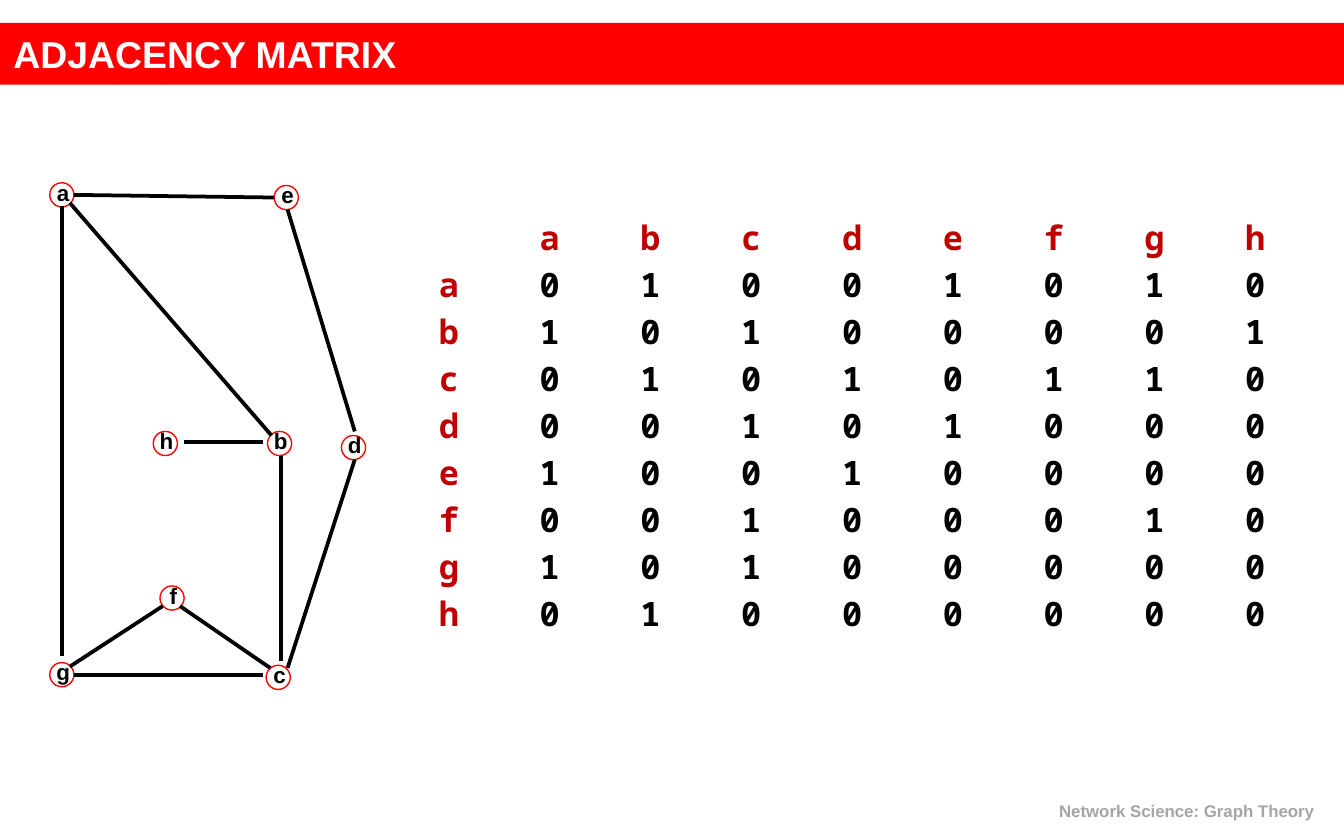
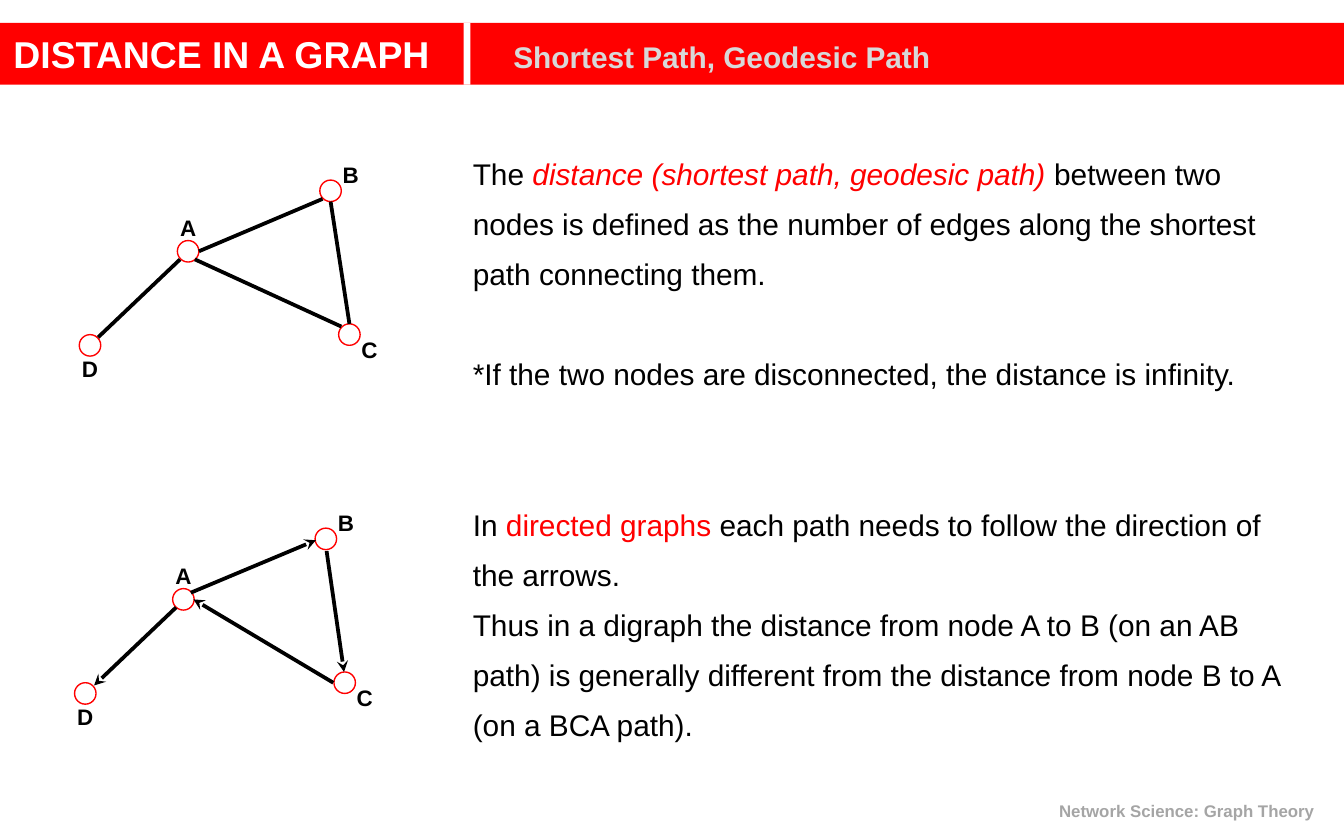
from lxml import etree
from pptx import Presentation
from pptx import util as u
from pptx.dml.color import RGBColor
from pptx.enum import shapes, text
from pptx.oxml import ns

COLORS = {"red": "FF0000", "dark_red": "C00000", "black": "000000",
          "white": "FFFFFF", "gray": "A5A5A5", "pale": "D8D8D8"}
FONT, MONO = "Arial", "Noto Sans Mono"
WIDTH, HEIGHT = u.Inches(10), u.Inches(6.25)
CELL = WIDTH / 100
ALIGN = text.PP_ALIGN

LETTERS = "abcdefgh"
ADJACENCY = ["01001010", "10100001", "01010110", "00101000",
             "10010000", "00100010", "10100000", "01000000"]

LETTER_NODES = {"a": (3.7, 13.6), "b": (19.9, 32.1), "c": (19.8, 49.5),
                "d": (25.4, 32.4), "e": (20.4, 13.8), "f": (11.9, 43.6),
                "g": (3.7, 49.3), "h": (11.4, 32.1)}
LETTER_EDGES = [(5.2, 15.1, 20.2, 32.4), (4.6, 15.3, 4.6, 48.8),
                (5.5, 14.5, 20.4, 14.7), (5.2, 49.6, 12.1, 45.1),
                (13.4, 45.1, 20.1, 49.7), (5.5, 50.2, 19.6, 50.2),
                (20.9, 33.9, 20.9, 49.2), (13.7, 32.9, 19.6, 32.9),
                (21.4, 15.6, 26.4, 32.1), (21.4, 49.7, 26.4, 34.2)]

PATH_NODES = {"A": (13.2, 17.9, -0.5, -2), "B": (23.8, 13.4, 1, -1.4),
              "C": (25.2, 24.1, 1, 0.9), "D": (5.9, 24.9, -0.5, 1.5)}
UNDIRECTED_EDGES = [(7.3, 25.1, 13.4, 19.3), (14.8, 18.7, 24, 14.8),
                    (26, 24.1, 24.6, 15), (14.5, 19.3, 25.4, 24.3)]
DIRECTED_EDGES = [(13.1, 45.2, 7, 51), (14.2, 44.1, 23.5, 40.2),
                  (24.3, 41, 25.6, 50), (24.8, 50.8, 14.4, 44.6)]
DIRECTED_SHIFT = (-0.35, 25.9)

EXPLANATION = [
    (0, [("The ", "black", False),
         ("distance (shortest path, geodesic path) ", "red", True),
         ("between two nodes is defined as the number of edges along the "
          "shortest path connecting them.", "black", False)]),
    (1, [("*If the two nodes are disconnected, the distance is infinity.",
          "black", False)]),
    (2, [("In ", "black", False), ("directed graphs ", "red", False),
         ("each path needs to follow the direction of the arrows.",
          "black", False)]),
    (0, [("Thus in a digraph the distance from node A to B (on an AB path) is "
          "generally different from the distance from node B to A "
          "(on a BCA path).", "black", False)]),
]
BLANK_LINE = 26.9


def grid(*cells):
    return [u.Emu(round(c * CELL)) for c in cells]


def rgb(name):
    return RGBColor.from_string(COLORS[name])


def add_run(p, words, size, color, bold=False, italic=False, font=FONT):
    r = p.add_run()
    r.text = words
    r.font.name, r.font.size = font, u.Pt(size)
    r.font.bold, r.font.italic = bold, italic
    r.font.color.rgb = rgb(color)


def add_text_box(s, x, y, w, h, align=ALIGN.LEFT):
    tf = s.shapes.add_textbox(*grid(x, y, w, h)).text_frame
    tf.word_wrap = True
    tf.paragraphs[0].alignment = align
    return tf


def add_shape(s, kind, x, y, w, h, fill=None, line=None):
    sp = s.shapes.add_shape(kind, *grid(x, y, w, h))
    sp.shadow.inherit = False
    if fill:
        sp.fill.solid()
        sp.fill.fore_color.rgb = rgb(fill)
    else:
        sp.fill.background()
    if line:
        sp.line.color.rgb = rgb(line)
        sp.line.width = u.Pt(0.75)
    else:
        sp.line.fill.background()


def add_node(s, x, y, size, label, dx, dy):
    add_shape(s, shapes.MSO_SHAPE.OVAL, x, y, size, size, line="red")
    tf = add_text_box(s, x + dx, y + dy, 2.6, 2, ALIGN.CENTER)
    tf.margin_left = tf.margin_right = tf.margin_top = tf.margin_bottom = 0
    add_run(tf.paragraphs[0], label, 12, "black", bold=True)


def add_edge(s, ends, arrow=False):
    edge = s.shapes.add_connector(shapes.MSO_CONNECTOR.STRAIGHT, *grid(*ends))
    edge.line.color.rgb = rgb("black")
    edge.line.width = u.Pt(2)
    if arrow:
        tail = etree.SubElement(edge.line._get_or_add_ln(), ns.qn("a:tailEnd"))
        tail.set("type", "stealth")
    etree.SubElement(edge._element.spPr, ns.qn("a:effectLst"))


def add_path_graph(s, edges, shift=(0, 0), arrow=False):
    for label, (x, y, dx, dy) in PATH_NODES.items():
        add_node(s, x + shift[0], y + shift[1], 1.6, label, dx, dy)
    for ends in edges:
        add_edge(s, ends, arrow)


def add_matrix(s):
    n = len(LETTERS) + 1
    pitch_x, pitch_y = 7.5, 3.5
    table = s.shapes.add_table(
        n, n, *grid(29.65, 15.9, n * pitch_x, n * pitch_y)).table
    table.first_row = table.horz_banding = False
    rows = [" " + LETTERS] + [a + b for a, b in zip(LETTERS, ADJACENCY)]
    for i, row in enumerate(rows):
        table.rows[i].height = grid(pitch_y)[0]
        for j, value in enumerate(row):
            cell = table.cell(i, j)
            cell.fill.background()
            cell.margin_left = cell.margin_right = 0
            cell.margin_top = cell.margin_bottom = 0
            cell.vertical_anchor = text.MSO_ANCHOR.MIDDLE
            p = cell.text_frame.paragraphs[0]
            p.alignment = ALIGN.CENTER
            if value.strip():
                color = "black" if i and j else "dark_red"
                add_run(p, value, 18, color, bold=True, font=MONO)


def add_subtitle_tab(p, position):
    tabs = etree.SubElement(p._p.get_or_add_pPr(), ns.qn("a:tabLst"))
    tab = etree.SubElement(tabs, ns.qn("a:tab"))
    tab.set("pos", str(grid(position)[0]))
    tab.set("algn", "l")


def add_slide(prs, title, subtitle=None):
    s = prs.slides.add_slide(prs.slide_layouts[5])
    band = s.shapes.title
    band.left, band.top, band.width, band.height = grid(0, 1.7, 100, 4.6)
    band.fill.solid()
    band.fill.fore_color.rgb = rgb("red")
    tf = band.text_frame
    tf.auto_size = text.MSO_AUTO_SIZE.NONE
    tf.vertical_anchor = text.MSO_ANCHOR.MIDDLE
    p = tf.paragraphs[0]
    p.alignment = ALIGN.LEFT
    if subtitle:
        add_subtitle_tab(p, 37.2)
    add_run(p, title, 20, "white", bold=True)
    if subtitle:
        add_run(p, "\t" + subtitle, 16, "pale", bold=True)
        add_shape(s, shapes.MSO_SHAPE.RECTANGLE, 34.5, 1.7, 0.5, 4.6, "white")
    footer = add_text_box(s, 70.8, 59.1, 28.3, 2.5, ALIGN.RIGHT)
    add_run(footer.paragraphs[0], "Network Science: Graph Theory ", 9, "gray",
            bold=True)
    return s


def add_explanation(s):
    tf = add_text_box(s, 34.2, 10, 63.3, 46.1)
    for i, (blank_lines, runs) in enumerate(EXPLANATION):
        p = tf.add_paragraph() if i else tf.paragraphs[0]
        p.line_spacing = 1.4
        if blank_lines:
            p.space_before = u.Pt(blank_lines * BLANK_LINE)
        for words, color, italic in runs:
            add_run(p, words, 16, color, italic=italic)


def main():
    prs = Presentation()
    prs.slide_width, prs.slide_height = WIDTH, HEIGHT

    s = add_slide(prs, "ADJACENCY MATRIX")
    add_matrix(s)
    for label, (x, y) in LETTER_NODES.items():
        add_node(s, x, y, 1.8, label, -0.3, -0.3)
    for ends in LETTER_EDGES:
        add_edge(s, ends)

    s = add_slide(prs, "DISTANCE IN A GRAPH", "Shortest Path, Geodesic Path")
    add_explanation(s)
    add_path_graph(s, UNDIRECTED_EDGES)
    add_path_graph(s, DIRECTED_EDGES, DIRECTED_SHIFT, arrow=True)

    prs.save("out.pptx")


if __name__ == "__main__":
    main()
